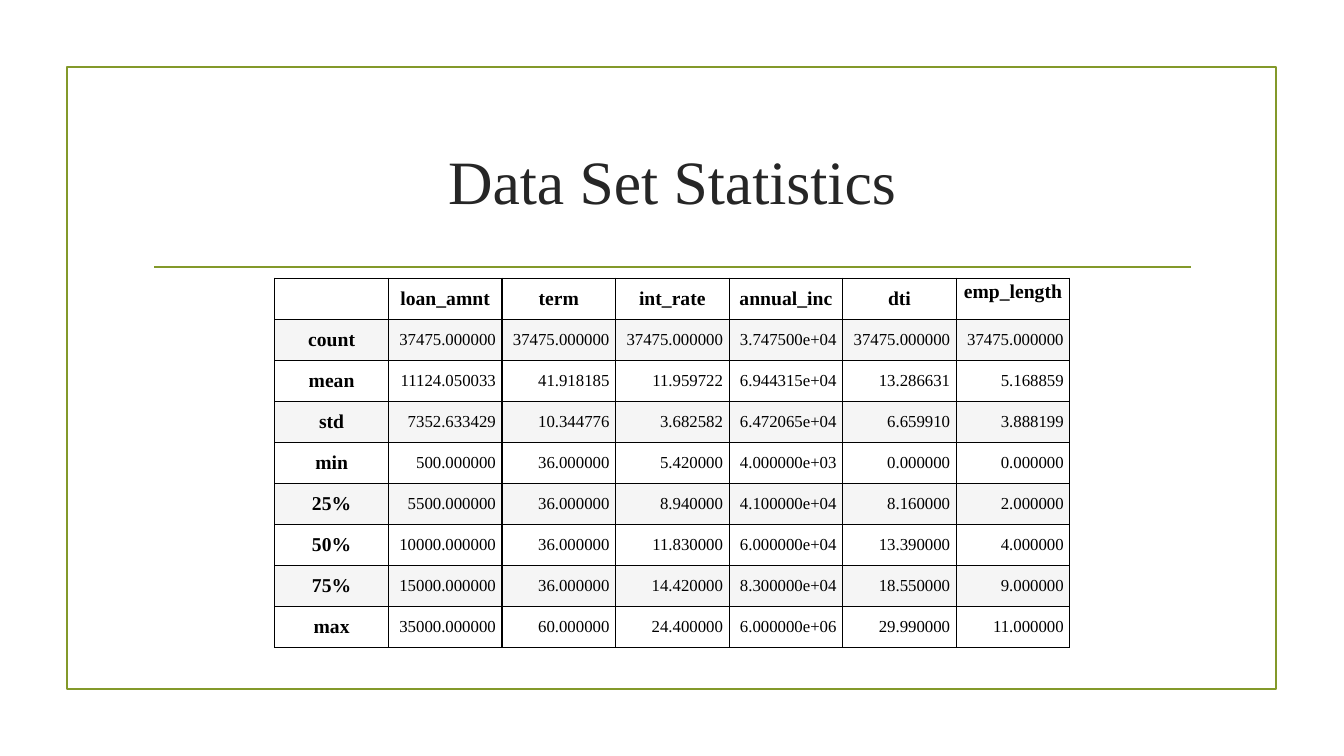
from lxml.etree import SubElement
from pptx import Presentation
from pptx.dml.color import RGBColor
from pptx.enum.shapes import MSO_CONNECTOR, MSO_SHAPE
from pptx.enum.text import MSO_ANCHOR, PP_ALIGN
from pptx.oxml import parse_xml
from pptx.oxml.ns import nsdecls, qn
from pptx.util import Inches, Pt

WIDTH, HEIGHT = Inches(13.33), Inches(7.5)
FONT = "Times New Roman"
GREEN, INK, BLACK, WHITE, BAND = "83992A", "262626", "000000", "FFFFFF", "F5F5F5"
HEADS = ["", "loan_amnt", "term", "int_rate", "annual_inc", "dti", "emp_length"]
STATS = [
    ["count", "37475.000000", "37475.000000", "37475.000000", "3.747500e+04", "37475.000000", "37475.000000"],
    ["mean", "11124.050033", "41.918185", "11.959722", "6.944315e+04", "13.286631", "5.168859"],
    ["std", "7352.633429", "10.344776", "3.682582", "6.472065e+04", "6.659910", "3.888199"],
    ["min", "500.000000", "36.000000", "5.420000", "4.000000e+03", "0.000000", "0.000000"],
    ["25%", "5500.000000", "36.000000", "8.940000", "4.100000e+04", "8.160000", "2.000000"],
    ["50%", "10000.000000", "36.000000", "11.830000", "6.000000e+04", "13.390000", "4.000000"],
    ["75%", "15000.000000", "36.000000", "14.420000", "8.300000e+04", "18.550000", "9.000000"],
    ["max", "35000.000000", "60.000000", "24.400000", "6.000000e+06", "29.990000", "11.000000"],
]


def color(code):
    """Turn a hex string into a colour."""
    return RGBColor.from_string(code)


def area(left, top, width, height):
    """Turn percentages of the slide into a box."""
    return (int(WIDTH * left / 100), int(HEIGHT * top / 100),
            int(WIDTH * width / 100), int(HEIGHT * height / 100))


def write(frame, text, size, code, align, bold=False):
    """Fill a text frame with one styled paragraph."""
    para = frame.paragraphs[0]
    para.text = text
    para.alignment = align
    font = para.font
    font.name, font.size, font.bold = FONT, Pt(size), bold
    font.color.rgb = color(code)


def stroke(line):
    """Give a line the green accent style."""
    line.color.rgb = color(GREEN)
    line.width = Pt(1.25)


def add_frame(slide, box):
    """Draw the border around the slide's content."""
    border = slide.shapes.add_shape(MSO_SHAPE.RECTANGLE, *box)
    border.shadow.inherit = False
    border.fill.background()
    stroke(border.line)


def add_rule(slide, box):
    """Draw the line along the top of the box."""
    left, top, width, _ = box
    rule = slide.shapes.add_connector(MSO_CONNECTOR.STRAIGHT, left, top, left + width, top)
    stroke(rule.line)
    SubElement(rule._element.spPr, qn("a:effectLst"))


def add_title(slide, box):
    """Place the centred heading."""
    frame = slide.shapes.add_textbox(*box).text_frame
    frame.word_wrap = True
    frame.vertical_anchor = MSO_ANCHOR.MIDDLE
    write(frame, "Data Set Statistics", 44, INK, PP_ALIGN.CENTER)


def edge(cell):
    """Put a thin black border on all four sides of a cell."""
    props = cell._tc.get_or_add_tcPr()
    for spot, side in enumerate("LRTB"):
        props.insert(spot, parse_xml(
            f'<a:ln{side} {nsdecls("a")} w="12700"><a:solidFill>'
            f'<a:srgbClr val="{BLACK}"/></a:solidFill></a:ln{side}>'))


def add_stats(slide, box):
    """Build the banded table of statistics."""
    rows = [HEADS] + STATS
    table = slide.shapes.add_table(len(rows), len(HEADS), *box).table
    for col in table.columns:
        col.width = box[2] // len(HEADS)
    for r, row in enumerate(rows):
        table.rows[r].height = box[3] // len(rows)
        for c, text in enumerate(row):
            cell = table.cell(r, c)
            cell.fill.solid()
            cell.fill.fore_color.rgb = color(BAND if r % 2 else WHITE)
            cell.margin_left = cell.margin_right = Inches(0.06)
            cell.margin_top = cell.margin_bottom = Inches(0.03)
            cell.vertical_anchor = MSO_ANCHOR.MIDDLE
            head = r == 0 or c == 0
            write(cell.text_frame, text, 14 if head else 12, BLACK,
                  PP_ALIGN.CENTER if head else PP_ALIGN.RIGHT, head)
            edge(cell)
    table.cell(0, len(HEADS) - 1).vertical_anchor = MSO_ANCHOR.TOP


def main():
    """Build and save the slide."""
    deck = Presentation()
    deck.slide_width, deck.slide_height = WIDTH, HEIGHT
    slide = deck.slides.add_slide(deck.slide_layouts[6])
    add_frame(slide, area(4.97, 8.9, 90, 82.27))
    add_rule(slide, area(11.48, 35.33, 77.12, 0))
    add_title(slide, area(10.65, 14.27, 78.77, 19.07))
    add_stats(slide, area(20.45, 36.8, 59.15, 48.93))
    deck.save("out.pptx")


if __name__ == "__main__":
    main()
